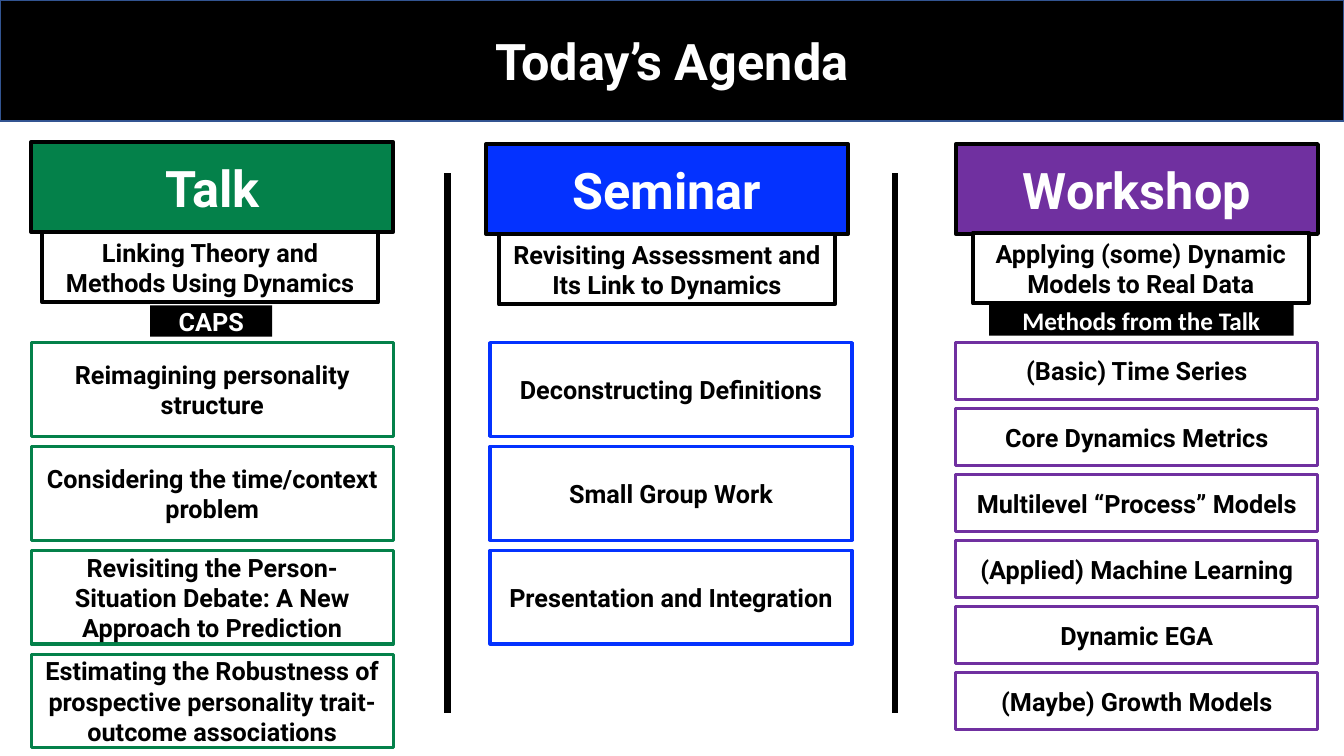
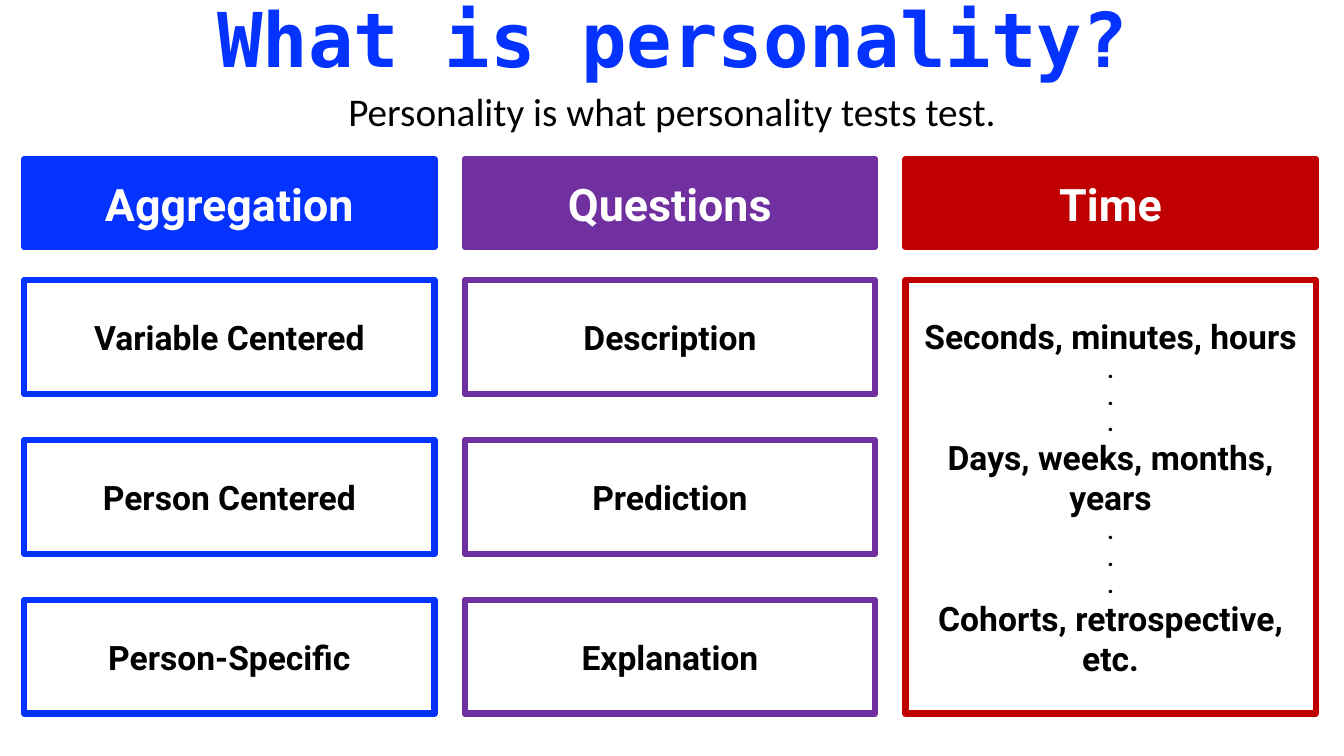
from dataclasses import dataclass
from typing import Optional

from lxml import etree
from pptx import Presentation
from pptx import util as u
from pptx.dml.color import RGBColor
from pptx.enum import shapes, text
from pptx.oxml import ns
from pptx.slide import Slide
from pptx.text.text import TextFrame

BLACK = RGBColor(0x00, 0x00, 0x00)
WHITE = RGBColor(0xFF, 0xFF, 0xFF)
GREEN = RGBColor(0x04, 0x81, 0x4A)
BLUE = RGBColor(0x04, 0x32, 0xFF)
PURPLE = RGBColor(0x70, 0x30, 0xA0)
RED = RGBColor(0xC0, 0x00, 0x00)
NAVY = RGBColor(0x32, 0x54, 0x91)

HEADING_FONT = "Roboto"
BODY_FONT = "Calibri"
MONO_FONT = "DejaVu Sans Mono"

SLIDE_WIDTH = 13.33
SLIDE_HEIGHT = 7.5


@dataclass(frozen=True)
class Area:
    left: float
    top: float
    width: float
    height: float

    def lengths(self) -> tuple[u.Length, ...]:
        return tuple(u.Inches(v) for v in (self.left, self.top, self.width, self.height))


@dataclass(frozen=True)
class Style:
    size: float
    color: RGBColor = BLACK
    font: str = HEADING_FONT
    bold: bool = True


@dataclass(frozen=True)
class Line:
    wording: str
    style: Style


@dataclass(frozen=True)
class Border:
    color: RGBColor
    width: float


@dataclass(frozen=True)
class Session:
    name: str
    color: RGBColor
    header: Area
    theme: str
    theme_left: float
    theme_top: float
    topics: tuple[str, ...]
    topic_left: float
    topic_height: float
    topic_pitch: float
    tag: Optional[Line] = None
    tag_area: Optional[Area] = None


@dataclass(frozen=True)
class Dimension:
    name: str
    color: RGBColor
    cards: tuple[tuple[Line, ...], ...]


BANNER = Style(36, WHITE)
AGENDA_TEXT = Style(18)
TAG_TEXT = Style(18, WHITE)
DIMENSION_HEADER = Style(32, WHITE)
CARD_TEXT = Style(24)
DOT = Line(".", Style(16))


def write(frame: TextFrame, lines: tuple[Line, ...]) -> None:
    frame.word_wrap = True
    frame.vertical_anchor = text.MSO_ANCHOR.MIDDLE
    for index, line in enumerate(lines):
        paragraph = frame.paragraphs[0] if index == 0 else frame.add_paragraph()
        paragraph.alignment = text.PP_ALIGN.CENTER
        run = paragraph.add_run()
        run.text = line.wording
        run.font.name = line.style.font
        run.font.size = u.Pt(line.style.size)
        run.font.bold = line.style.bold
        run.font.color.rgb = line.style.color


def draw_box(slide: Slide, area: Area, lines: tuple[Line, ...],
             fill: Optional[RGBColor] = None, border: Optional[Border] = None) -> None:
    box = slide.shapes.add_shape(shapes.MSO_SHAPE.RECTANGLE, *area.lengths())
    box.shadow.inherit = False
    if fill is None:
        box.fill.background()
    else:
        box.fill.solid()
        box.fill.fore_color.rgb = fill
    if border is None:
        box.line.fill.background()
    else:
        box.line.color.rgb = border.color
        box.line.width = u.Pt(border.width)
    write(box.text_frame, lines)


def draw_text(slide: Slide, area: Area, line: Line) -> TextFrame:
    frame = slide.shapes.add_textbox(*area.lengths()).text_frame
    write(frame, (line,))
    return frame


def draw_divider(slide: Slide, x: float, top: float, bottom: float) -> None:
    divider = slide.shapes.add_connector(
        shapes.MSO_CONNECTOR.STRAIGHT,
        u.Inches(x), u.Inches(top), u.Inches(x), u.Inches(bottom))
    divider.line.color.rgb = BLACK
    divider.line.width = u.Pt(4.5)
    properties = divider._element.find(ns.qn("p:spPr"))
    etree.SubElement(properties, ns.qn("a:effectLst"))


def draw_session(slide: Slide, session: Session) -> None:
    frame = Border(BLACK, 3)
    draw_box(slide, session.header, (Line(session.name, BANNER),), session.color, frame)
    draw_box(slide, Area(session.theme_left, session.theme_top, 3.33, 0.7),
             (Line(session.theme, AGENDA_TEXT),), WHITE, frame)
    if session.tag and session.tag_area:
        draw_box(slide, session.tag_area, (session.tag,), BLACK)
    for row, topic in enumerate(session.topics):
        area = Area(session.topic_left, 3.4 + row * session.topic_pitch,
                    session.header.width, session.topic_height)
        draw_box(slide, area, (Line(topic, AGENDA_TEXT),),
                 border=Border(session.color, 2.25))


def draw_dimension(slide: Slide, left: float, dimension: Dimension) -> None:
    width, top, bottom, gap = 4.07, 2.78, 7.08, 0.455
    border = Border(dimension.color, 4.5)
    draw_box(slide, Area(left, 1.58, width, 0.87),
             (Line(dimension.name, DIMENSION_HEADER),), dimension.color, border)
    count = len(dimension.cards)
    height = (bottom - top - gap * (count - 1)) / count
    for row, lines in enumerate(dimension.cards):
        draw_box(slide, Area(left, top + row * (height + gap), width, height),
                 lines, border=border)


def cards(*labels: str) -> tuple[tuple[Line, ...], ...]:
    return tuple((Line(label, CARD_TEXT),) for label in labels)


SESSIONS = (
    Session(
        "Talk", GREEN, Area(0.31, 1.41, 3.59, 0.89),
        "Linking Theory and Methods Using Dynamics", 0.42, 2.3,
        ("Reimagining personality structure",
         "Considering the time/context problem",
         "Revisiting the Person-Situation Debate: A New Approach to Prediction",
         "Estimating the Robustness of prospective personality trait-outcome associations"),
        0.31, 0.93, 1.03,
        Line("CAPS", TAG_TEXT), Area(1.49, 3.03, 1.21, 0.31)),
    Session(
        "Seminar", BLUE, Area(4.82, 1.43, 3.59, 0.89),
        "Revisiting Assessment and Its Link to Dynamics", 4.95, 2.32,
        ("Deconstructing Definitions", "Small Group Work", "Presentation and Integration"),
        4.86, 0.93, 1.03),
    Session(
        "Workshop", PURPLE, Area(9.48, 1.43, 3.59, 0.89),
        "Applying (some) Dynamic Models to Real Data", 9.65, 2.31,
        ("(Basic) Time Series", "Core Dynamics Metrics",
         "Multilevel \u201cProcess\u201d Models", "(Applied) Machine Learning",
         "Dynamic EGA", "(Maybe) Growth Models"),
        9.48, 0.56, 0.655,
        Line("Methods from the Talk", Style(18, WHITE, BODY_FONT)),
        Area(9.81, 3.02, 3.02, 0.31)),
)

TIME_SCALES = (
    Line("Seconds, minutes, hours", CARD_TEXT), DOT, DOT, DOT,
    Line("Days, weeks, months, years", CARD_TEXT), DOT, DOT, DOT,
    Line("Cohorts, retrospective, etc.", CARD_TEXT),
)

DIMENSIONS = (
    Dimension("Aggregation", BLUE,
              cards("Variable Centered", "Person Centered", "Person-Specific")),
    Dimension("Questions", PURPLE, cards("Description", "Prediction", "Explanation")),
    Dimension("Time", RED, (TIME_SCALES,)),
)


def build_agenda(slide: Slide) -> None:
    draw_box(slide, Area(0, 0, SLIDE_WIDTH, 1.2),
             (Line("Today\u2019s Agenda", BANNER),), BLACK, Border(NAVY, 1))
    for x in (4.44, 8.88):
        draw_divider(slide, x, 1.72, 7.07)
    for session in SESSIONS:
        draw_session(slide, session)


def build_personality(slide: Slide) -> None:
    question = draw_text(slide, Area(1.67, 0, 10, 0.91),
                         Line("What is personality?", Style(54, BLUE, MONO_FONT)))
    question.paragraphs[0].line_spacing = 0.8
    question.paragraphs[0].space_after = u.Pt(6)
    draw_text(slide, Area(1.1, 0.55, 11.13, 1.1),
              Line("Personality is what personality tests test.",
                   Style(28, BLACK, BODY_FONT, False)))
    for column, dimension in enumerate(DIMENSIONS):
        draw_dimension(slide, 0.24 + column * 4.37, dimension)


def main() -> None:
    deck = Presentation()
    deck.slide_width = u.Inches(SLIDE_WIDTH)
    deck.slide_height = u.Inches(SLIDE_HEIGHT)
    blank = deck.slide_layouts[6]
    for build in (build_agenda, build_personality):
        build(deck.slides.add_slide(blank))
    deck.save("out.pptx")


main()
